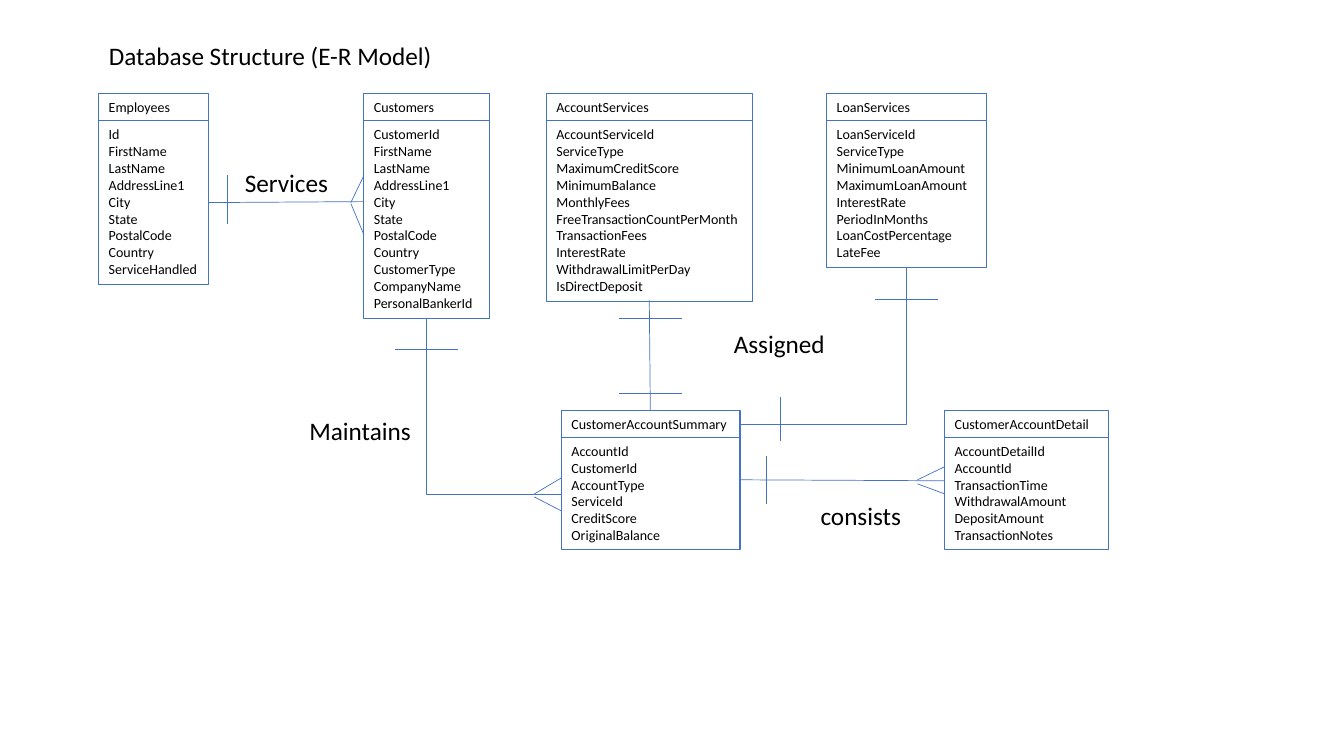
from dataclasses import dataclass

from lxml import etree
from pptx import Presentation
from pptx import util as u
from pptx.dml.color import RGBColor
from pptx.enum import shapes, text
from pptx.oxml.ns import qn

BLUE = RGBColor(0x44, 0x72, 0xC4)
BLACK = RGBColor(0x00, 0x00, 0x00)
FONT = "Calibri"
HEADER_HEIGHT = 0.27
ROW_HEIGHT = 0.17
BODY_PADDING = 0.09
UPPER_ROW, LOWER_ROW = 0.93, 4.07


@dataclass(frozen=True)
class Entity:
    name: str
    left: float
    top: float
    width: float
    fields: str


@dataclass(frozen=True)
class Label:
    caption: str
    left: float
    top: float
    width: float


@dataclass(frozen=True)
class Link:
    x1: float
    y1: float
    x2: float
    y2: float


@dataclass(frozen=True)
class Tick:
    x: float
    y: float
    length: float
    upright: bool = False


@dataclass(frozen=True)
class CrowFoot:
    tip_x: float
    edge_x: float
    upper_tip: float
    upper_edge: float
    lower_tip: float
    lower_edge: float


ENTITIES = [
    Entity("Employees", 0.98, UPPER_ROW, 1.09,
           "Id FirstName LastName AddressLine1 City State PostalCode Country ServiceHandled"),
    Entity("Customers", 3.61, UPPER_ROW, 1.25,
           "CustomerId FirstName LastName AddressLine1 City State PostalCode Country "
           "CustomerType CompanyName PersonalBankerId"),
    Entity("AccountServices", 5.42, UPPER_ROW, 2.04,
           "AccountServiceId ServiceType MaximumCreditScore MinimumBalance MonthlyFees "
           "FreeTransactionCountPerMonth TransactionFees InterestRate "
           "WithdrawalLimitPerDay IsDirectDeposit"),
    Entity("LoanServices", 8.2, UPPER_ROW, 1.58,
           "LoanServiceId ServiceType MinimumLoanAmount MaximumLoanAmount InterestRate "
           "PeriodInMonths LoanCostPercentage LateFee"),
    Entity("CustomerAccountSummary", 5.57, LOWER_ROW, 1.77,
           "AccountId CustomerId AccountType ServiceId CreditScore OriginalBalance"),
    Entity("CustomerAccountDetail", 9.37, LOWER_ROW, 1.62,
           "AccountDetailId AccountId TransactionTime WithdrawalAmount DepositAmount "
           "TransactionNotes"),
]
LABELS = [
    Label("Services", 2.33, 1.61, 1.06),
    Label("Maintains", 2.97, 4.07, 1.33),
    Label("Assigned", 7.18, 3.21, 1.33),
    Label("consists", 8.04, 4.91, 1.06),
]
STRAIGHT_LINKS = [
    Link(2.07, 2.01, 3.61, 2),
    Link(6.44, 2.98, 6.45, 4.07),
    Link(7.33, 4.76, 9.37, 4.77),
]
BENT_LINKS = [Link(4.23, 3.16, 5.57, 4.9), Link(8.99, 2.65, 7.33, 4.21)]
TICKS = [
    Tick(2.25, 1.98, 0.48, True),
    Tick(4.23, 3.47, 0.62),
    Tick(6.45, 3.16, 0.62),
    Tick(6.45, 3.9, 0.62),
    Tick(8.99, 2.97, 0.62),
    Tick(7.74, 4.16, 0.44, True),
    Tick(7.6, 4.76, 0.48, True),
]
CROW_FEET = [
    CrowFoot(3.48, 3.61, 2.01, 1.74, 2.02, 2.33),
    CrowFoot(5.3, 5.57, 4.9, 4.74, 4.93, 5.07),
    CrowFoot(9.1, 9.37, 4.76, 4.63, 4.8, 4.9),
]


def write(box, lines: list[str], size: float) -> None:
    frame = box.text_frame
    frame.word_wrap = True
    frame.auto_size = text.MSO_AUTO_SIZE.NONE
    frame.vertical_anchor = text.MSO_ANCHOR.TOP
    frame.margin_left = u.Inches(0.1)
    frame.margin_right = u.Inches(0)
    frame.margin_top = frame.margin_bottom = u.Inches(0.05)
    for index, line in enumerate(lines):
        para = frame.add_paragraph() if index else frame.paragraphs[0]
        para.alignment = text.PP_ALIGN.LEFT
        span = para.add_run()
        span.text = line
        span.font.name = FONT
        span.font.size = u.Pt(size)
        span.font.color.rgb = BLACK


def draw_box(page, left: float, top: float, width: float, height: float,
             lines: list[str]) -> None:
    box = page.shapes.add_shape(
        shapes.MSO_SHAPE.RECTANGLE,
        u.Inches(left), u.Inches(top), u.Inches(width), u.Inches(height))
    box.shadow.inherit = False
    box.fill.background()
    box.line.color.rgb = BLUE
    box.line.width = u.Pt(0.75)
    write(box, lines, 10)


def draw_entity(page, entity: Entity) -> None:
    fields = entity.fields.split()
    draw_box(page, entity.left, entity.top, entity.width, HEADER_HEIGHT, [entity.name])
    draw_box(page, entity.left, entity.top + HEADER_HEIGHT, entity.width,
             len(fields) * ROW_HEIGHT + BODY_PADDING, fields)


def draw_line(page, link: Link, kind=shapes.MSO_CONNECTOR.STRAIGHT):
    line = page.shapes.add_connector(
        kind, u.Inches(link.x1), u.Inches(link.y1), u.Inches(link.x2), u.Inches(link.y2))
    line.line.color.rgb = BLUE
    line.line.width = u.Pt(0.5)
    etree.SubElement(line._element.spPr, qn("a:effectLst"))
    return line


def draw_bent_link(page, link: Link) -> None:
    center_x, center_y = (link.x1 + link.x2) / 2, (link.y1 + link.y2) / 2
    half_width, half_height = (link.y2 - link.y1) / 2, abs(link.x2 - link.x1) / 2
    turn = -1 if link.x2 > link.x1 else 1
    unturned = Link(center_x - turn * half_width, center_y - half_height,
                    center_x + turn * half_width, center_y + half_height)
    line = draw_line(page, unturned, shapes.MSO_CONNECTOR.ELBOW)
    properties = line._element.spPr
    properties.find(qn("a:prstGeom")).set("prst", "bentConnector2")
    properties.find(qn("a:xfrm")).set("rot", str(turn * 90 % 360 * 60000))


def draw_tick(page, tick: Tick) -> None:
    dx, dy = (0, tick.length / 2) if tick.upright else (tick.length / 2, 0)
    draw_line(page, Link(tick.x - dx, tick.y - dy, tick.x + dx, tick.y + dy))


def draw_crow_foot(page, foot: CrowFoot) -> None:
    draw_line(page, Link(foot.tip_x, foot.upper_tip, foot.edge_x, foot.upper_edge))
    draw_line(page, Link(foot.tip_x, foot.lower_tip, foot.edge_x, foot.lower_edge))


def draw_label(page, label: Label) -> None:
    box = page.shapes.add_textbox(
        u.Inches(label.left), u.Inches(label.top), u.Inches(label.width), u.Inches(0.4))
    write(box, [label.caption], 18)


deck = Presentation()
deck.slide_width, deck.slide_height = u.Inches(13.33), u.Inches(7.5)
page = deck.slides.add_slide(deck.slide_layouts[5])
title = page.shapes.title
title.left, title.top = u.Inches(0.98), u.Inches(0.35)
title.width, title.height = u.Inches(10.47), u.Inches(0.4)
write(title, ["Database Structure (E-R Model)"], 18)

for draw, items in (
    (draw_entity, ENTITIES),
    (draw_line, STRAIGHT_LINKS),
    (draw_bent_link, BENT_LINKS),
    (draw_tick, TICKS),
    (draw_crow_foot, CROW_FEET),
    (draw_label, LABELS),
):
    for item in items:
        draw(page, item)

deck.save("out.pptx")
